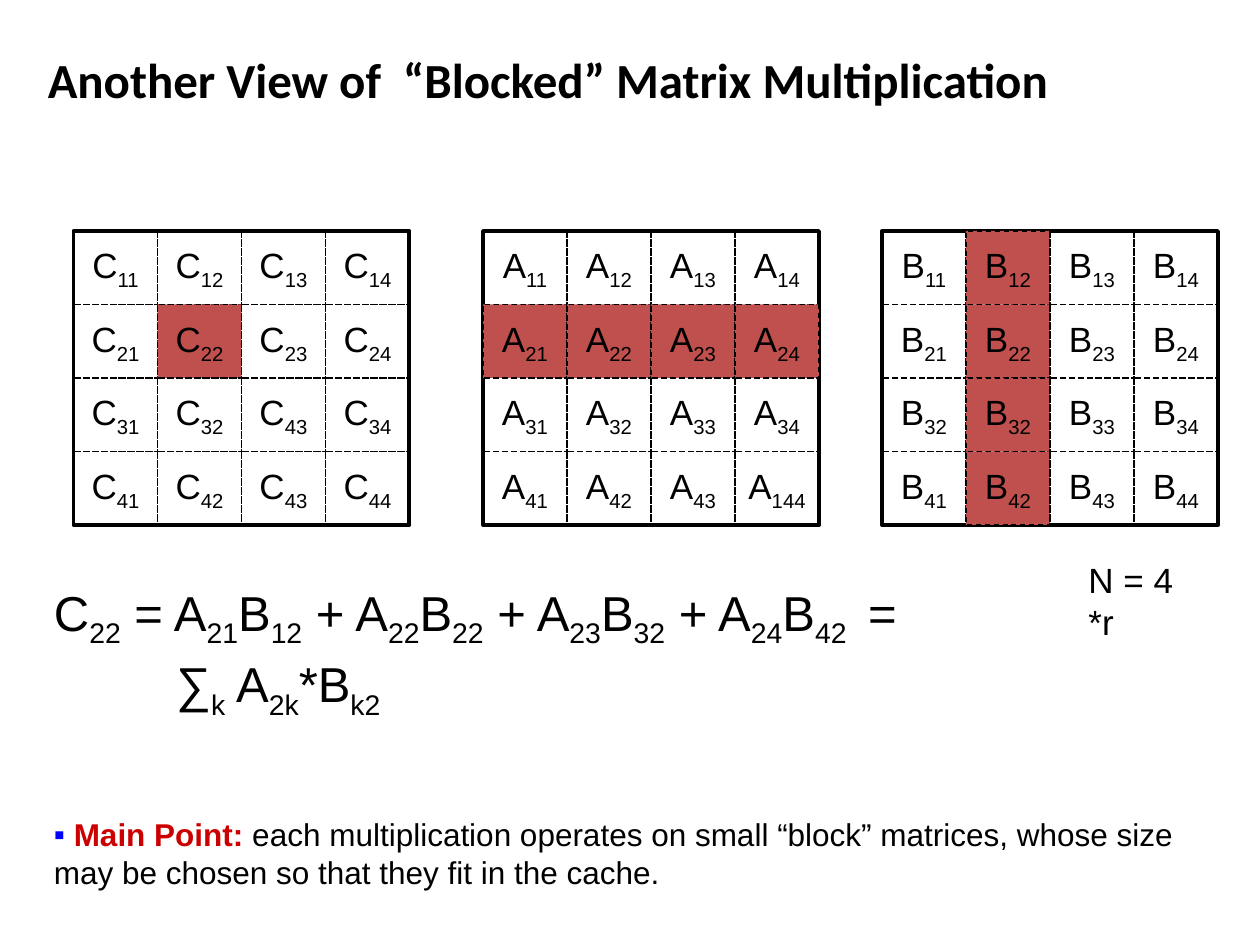
from dataclasses import dataclass, field
from itertools import product

from lxml import etree
from pptx import Presentation
from pptx import util as u
from pptx.dml.color import RGBColor
from pptx.enum import dml, shapes, text
from pptx.oxml.ns import qn

UNIT = u.Inches(1) / 12
SIZE = 4
CELL_WIDTH, CELL_HEIGHT = 8, 7
MATRIX_TOP = 22
BLACK, HIGHLIGHT, RED, BLUE = "000000", "C0504D", "CC0000", "0000FF"


@dataclass
class Matrix:
    """A blocked matrix, its left grid unit, marked cells and unusual labels."""
    name: str
    left: int
    marked: set
    labels: dict = field(default_factory=dict)


def color(value: str) -> RGBColor:
    """Turn a hex string into a colour."""
    return RGBColor.from_string(value)


def add_run(paragraph, words: str, size: float, hue=BLACK, bold=False, font="Arial"):
    """Add one formatted run and return it."""
    run = paragraph.add_run()
    run.text = words
    run.font.name, run.font.size, run.font.bold = font, u.Pt(size), bold
    run.font.color.rgb = color(hue)
    return run


def add_formula(paragraph, formula: str, size: float):
    """Add runs split at bars, every second one a subscript."""
    paragraph.space_before = u.Pt(size / 10)
    for index, words in enumerate(formula.split("|")):
        if words:
            run = add_run(paragraph, words, size)
            if index % 2:
                run.font._element.set("baseline", "-25000")


def add_box(slide, left, top, width, height, weight, fill=None):
    """Add an outlined rectangle placed in grid units."""
    box = slide.shapes.add_shape(
        shapes.MSO_SHAPE.RECTANGLE, *(round(n * UNIT) for n in (left, top, width, height)))
    box.shadow.inherit = False
    box.line.color.rgb = color(BLACK)
    box.line.width = u.Pt(weight)
    if fill:
        box.fill.solid()
        box.fill.fore_color.rgb = color(fill)
    else:
        box.fill.background()
    return box


def add_matrix(slide, matrix: Matrix):
    """Draw the frame of a matrix and its labelled cells."""
    add_box(slide, matrix.left, MATRIX_TOP, SIZE * CELL_WIDTH, SIZE * CELL_HEIGHT, 2.25)
    for row, column in product(range(1, SIZE + 1), repeat=2):
        cell = add_box(
            slide, matrix.left + (column - 1) * CELL_WIDTH,
            MATRIX_TOP + (row - 1) * CELL_HEIGHT, CELL_WIDTH, CELL_HEIGHT, 0.75,
            HIGHLIGHT if (row, column) in matrix.marked else None)
        cell.line.dash_style = dml.MSO_LINE.DASH
        frame = cell.text_frame
        frame.word_wrap = False
        frame.vertical_anchor = text.MSO_ANCHOR.MIDDLE
        paragraph = frame.paragraphs[0]
        paragraph.alignment = text.PP_ALIGN.CENTER
        label = matrix.labels.get((row, column), f"{row}{column}")
        add_formula(paragraph, f"{matrix.name}|{label}", 20)


def add_text_frame(slide, left, top, width, height):
    """Add a wrapping text box in inches and return its text frame."""
    box = slide.shapes.add_textbox(*(u.Inches(n) for n in (left, top, width, height)))
    box.text_frame.word_wrap = True
    return box.text_frame


def add_title(slide, words: str):
    """Place and format the title placeholder."""
    title = slide.shapes.title
    title.left, title.top = u.Inches(0.28), 0
    title.width, title.height = u.Inches(8.5), u.Inches(1.25)
    title.text_frame.vertical_anchor = text.MSO_ANCHOR.MIDDLE
    paragraph = title.text_frame.paragraphs[0]
    paragraph.alignment = text.PP_ALIGN.LEFT
    add_run(paragraph, words, 28, bold=True, font="Calibri")


def add_explanation(slide):
    """Write the block product, its sum and the main point."""
    frame = add_text_frame(slide, 0.33, 4.57, 9.42, 2.75)
    add_formula(frame.paragraphs[0],
                "C|22| = A|21|B|12| + A|22|B|22| + A|23|B|32| + A|24|B|42 | =", 28)
    total = frame.add_paragraph()
    total._p.get_or_add_pPr().set("indent", str(u.Inches(0.97)))
    add_formula(total, "∑|k| A|2k|*B|k2", 28)

    point = frame.add_paragraph()
    point.space_before = u.Pt(54)
    properties = point._p.get_or_add_pPr()
    bullet_color = etree.SubElement(properties, qn("a:buClr"))
    etree.SubElement(bullet_color, qn("a:srgbClr"), val=BLUE)
    etree.SubElement(properties, qn("a:buFont"), typeface="Arial")
    etree.SubElement(properties, qn("a:buChar"), char="▪")
    add_run(point, " ", 18)
    add_run(point, "Main Point:", 18, RED, bold=True)
    add_run(point, " each multiplication operates on small “block” matrices, "
                   "whose size may be chosen so that they fit in the cache.", 18)


def main():
    """Build and save the slide."""
    presentation = Presentation()
    presentation.slide_width, presentation.slide_height = u.Inches(10), u.Inches(7.5)
    slide = presentation.slides.add_slide(presentation.slide_layouts[5])
    add_title(slide, "Another View of  “Blocked” Matrix Multiplication")
    span = range(1, SIZE + 1)
    for matrix in (
        Matrix("C", 7, {(2, 2)}, {(3, 3): "43"}),
        Matrix("A", 46, {(2, column) for column in span}, {(4, 4): "144"}),
        Matrix("B", 84, {(row, 2) for row in span}, {(3, 1): "32"}),
    ):
        add_matrix(slide, matrix)
    add_explanation(slide)
    size_note = add_text_frame(slide, 8.54, 4.38, 1.1, 0.43)
    add_formula(size_note.paragraphs[0], "N = 4 *r", 20)
    presentation.save("out.pptx")


if __name__ == "__main__":
    main()
